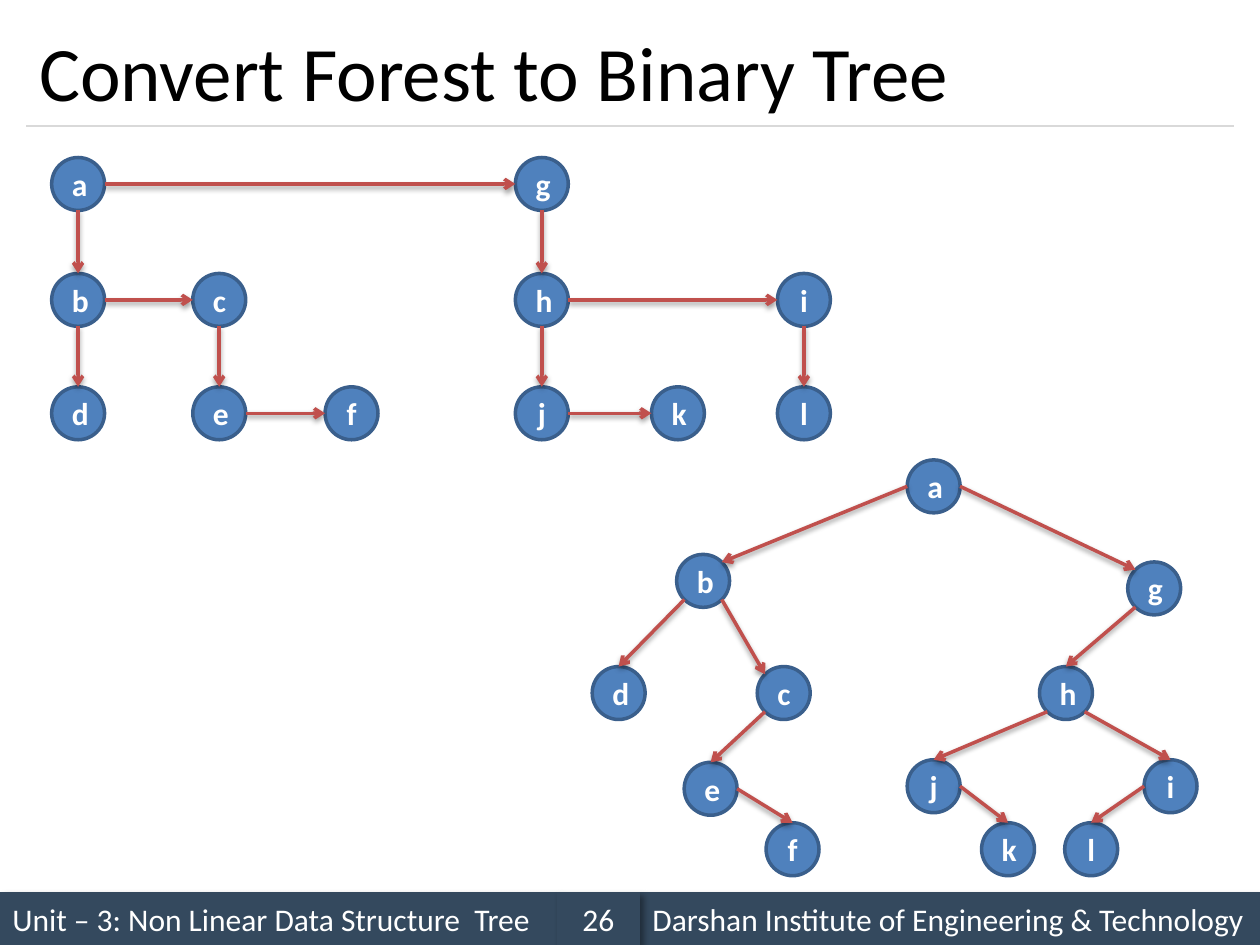
from math import sqrt

from pptx import Presentation
from pptx.dml.color import RGBColor
from pptx.enum.shapes import MSO_CONNECTOR as Line, MSO_SHAPE as Shape
from pptx.enum.text import MSO_ANCHOR as Anchor, PP_ALIGN as Align
from pptx.oxml import parse_xml
from pptx.oxml.ns import nsdecls, qn
from pptx.util import Inches, Pt

FONT = "Calibri"
DIAMETER = 0.42
DIAGONAL = 1 / sqrt(2)
SITES = {
    "N": (0, -1), "S": (0, 1), "W": (-1, 0), "E": (1, 0),
    "NW": (-DIAGONAL, -DIAGONAL), "NE": (DIAGONAL, -DIAGONAL),
    "SW": (-DIAGONAL, DIAGONAL), "SE": (DIAGONAL, DIAGONAL),
}
FOREST_COLS = [0.62, 1.74, 2.79, 4.3, 5.38, 6.38]
FOREST_ROWS = [1.46, 2.38, 3.28]
FOREST_CELLS = ["a  g  ", "bc h i", "defjkl"]
FOREST_LINKS = [
    "aE gW", "aS bN", "bE cW", "bS dN", "cS eN", "eE fW",
    "gS hN", "hE iW", "hS jN", "jE kW", "iS lN",
]
BINARY_NODES = {
    "a": (7.41, 3.86), "b": (5.58, 4.61), "g": (9.16, 4.67),
    "d": (4.91, 5.5), "c": (6.22, 5.5), "h": (8.46, 5.5),
    "e": (5.64, 6.26), "j": (7.41, 6.24), "i": (9.29, 6.24),
    "f": (6.29, 6.74), "k": (8, 6.74), "l": (8.66, 6.74),
}
BINARY_LINKS = [
    "aW bNE", "aE gNW", "bSW dN", "bSE cNW", "cSW eN", "eE fN",
    "gSW hN", "hSW jN", "hSE iN", "jE kN", "iW lN",
]


def rgb(color):
    """Turn a hex string into a colour."""
    return RGBColor.from_string(color)


def add_text(tf, text, size=18, color="FFFFFF", bold=False, align=Align.CENTER):
    """Write one formatted paragraph into a text frame."""
    tf.vertical_anchor = Anchor.MIDDLE
    p = tf.paragraphs[0]
    p.alignment = align
    r = p.add_run()
    r.text = text
    r.font.name = FONT
    r.font.size = Pt(size)
    r.font.bold = bold
    r.font.color.rgb = rgb(color)


def add_shadow(sp, alpha, blur, dist, angle):
    """Give a shape or connector a black outer shadow."""
    sp._element.spPr.append(parse_xml(
        f'<a:effectLst {nsdecls("a")}><a:outerShdw blurRad="{Pt(blur)}" '
        f'dist="{Pt(dist)}" dir="{angle * 60000}" rotWithShape="0">'
        f'<a:srgbClr val="000000"><a:alpha val="{alpha * 1000}"/></a:srgbClr>'
        '</a:outerShdw></a:effectLst>'))


def add_line(s, start, end, color, width):
    """Draw a straight connector between two points."""
    c = s.shapes.add_connector(Line.STRAIGHT, *map(Inches, start + end))
    c.line.color.rgb = rgb(color)
    c.line.width = Pt(width)
    return c


def add_rule(s):
    """Draw the flat rule under the title."""
    c = add_line(s, (0.21, 1), (9.79, 1), "D9D9D9", 0.75)
    c._element.spPr.append(parse_xml(f'<a:effectLst {nsdecls("a")}/>'))


def add_arrow(s, start, end):
    """Draw a shadowed link with an open arrowhead."""
    c = add_line(s, start, end, "C0504D", 2)
    ln = c._element.spPr.find(qn("a:ln"))
    ln.append(parse_xml(f'<a:tailEnd {nsdecls("a")} type="arrow"/>'))
    add_shadow(c, 38, 3.1, 1.6, 90)


def add_node(s, label, center):
    """Draw a lettered circle around its centre."""
    left, top = (v - DIAMETER / 2 for v in center)
    sp = s.shapes.add_shape(
        Shape.OVAL, *map(Inches, (left, top, DIAMETER, DIAMETER)))
    sp.shadow.inherit = False
    sp.fill.solid()
    sp.fill.fore_color.rgb = rgb("4F81BD")
    sp.line.color.rgb = rgb("3A5F8C")
    sp.line.width = Pt(2)
    add_text(sp.text_frame, label, bold=True)


def site_point(nodes, end):
    """Locate a site such as aE on the rim of its node."""
    x, y = nodes[end[0]]
    dx, dy = SITES[end[1:]]
    return x + dx * DIAMETER / 2, y + dy * DIAMETER / 2


def add_tree(s, nodes, links):
    """Draw all nodes of a tree and the links between them."""
    for label, center in nodes.items():
        add_node(s, label, center)
    for link in links:
        add_arrow(s, *(site_point(nodes, end) for end in link.split()))


def add_bar(s, left, right, text, align=Align.LEFT):
    """Draw one section of the footer."""
    sp = s.shapes.add_shape(
        Shape.RECTANGLE, *map(Inches, (left, 7.08, right - left, 0.42)))
    sp.fill.solid()
    sp.fill.fore_color.rgb = rgb("34495E")
    sp.line.fill.background()
    add_shadow(sp, 40, 4, 3, 45)
    add_text(sp.text_frame, text, align=align)


def add_title(s, text):
    """Place and fill the title placeholder."""
    sp = s.shapes.title
    sp.left, sp.top, sp.width, sp.height = map(Inches, (0.21, 0.12, 9.58, 0.88))
    add_text(sp.text_frame, text, size=44, color="000000", align=Align.LEFT)


def main():
    """Build the slide and save it."""
    prs = Presentation()
    prs.slide_width, prs.slide_height = Inches(10), Inches(7.5)
    s = prs.slides.add_slide(prs.slide_layouts[5])
    add_bar(s, 0, 4.42, "Unit – 3: Non Linear Data Structure  Tree")
    add_rule(s)
    add_bar(s, 5.08, 10, "Darshan Institute of Engineering & Technology")
    add_bar(s, 4.42, 5.08, "26", Align.CENTER)
    add_title(s, "Convert Forest to Binary Tree")
    add_tree(s, BINARY_NODES, BINARY_LINKS)
    forest_nodes = {
        label: (x, y)
        for y, cells in zip(FOREST_ROWS, FOREST_CELLS)
        for x, label in zip(FOREST_COLS, cells) if label != " "
    }
    add_tree(s, forest_nodes, FOREST_LINKS)
    prs.save("out.pptx")


if __name__ == "__main__":
    main()
